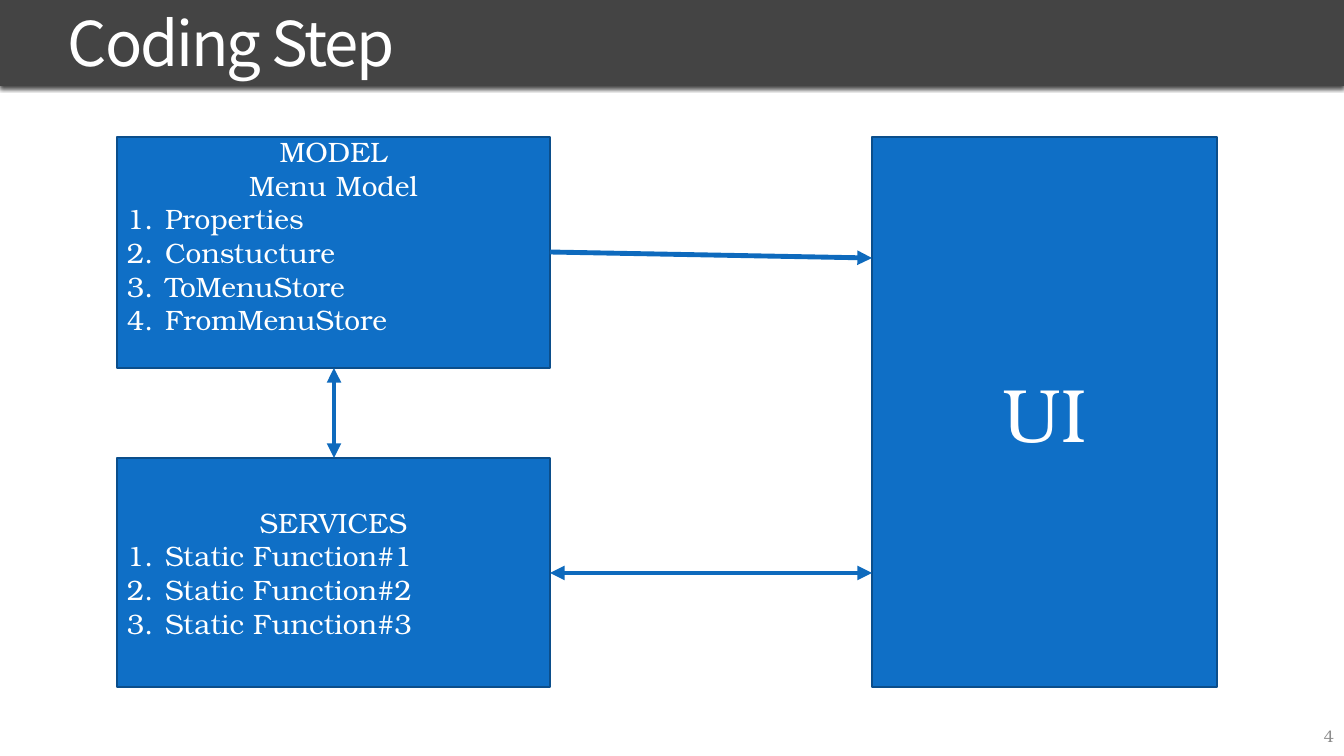
import pptx
import pptx.util
import pptx.dml.color
import pptx.enum.shapes
import pptx.enum.text
import pptx.oxml
import pptx.oxml.ns

TITLE = "Coding Step"
NUMBER = "4"

# name: (place in px, centred lines, numbered lines, size key, room kept below)
BOXES = {
    "model": ((117, 137, 433, 231), ["MODEL", "Menu Model"],
              ["Properties", "Constucture", "ToMenuStore", "FromMenuStore"],
              "body", 34),
    "services": ((117, 458, 433, 229), ["SERVICES"],
                 ["Static Function#1", "Static Function#2",
                  "Static Function#3"], "body", 0),
    "ui": ((872, 137, 345, 550), ["UI"], [], "big", 0),
}
# start, end, arrow at both ends
ARROWS = [
    ((550, 573), (872, 573), True),
    ((550, 252), (872, 258), False),
    ((334, 368), (334, 458), True),
]
THEME = {
    "bar": "444444", "fill": "0F6FC6", "edge": "0B4E8B", "arrow": "0E6ABD",
    "text": "FFFFFF", "faint": "8C8C8C",
    "head": "Noto Sans CJK JP", "serif": "TeX Gyre Bonum",
    "title": 44, "body": 20, "big": 54, "small": 12,
    "edge_w": 1.25, "arrow_w": 3.5,
}
SCALE = 914400 / 100.8
ALIGN = pptx.enum.text.PP_ALIGN
RECT = pptx.enum.shapes.MSO_SHAPE.RECTANGLE


def px(*nums):
    return [round(n * SCALE) for n in nums]


def color(key):
    return pptx.dml.color.RGBColor.from_string(THEME[key])


def add_xml(node, text):
    ns = pptx.oxml.ns.nsdecls("a")
    head, rest = text.split(" ", 1)
    node.append(pptx.oxml.parse_xml(f"{head} {ns} {rest}"))


def style(para, size, face, tint, align):
    para.alignment = align
    for run in para.runs:
        run.font.size = pptx.util.Pt(THEME[size])
        run.font.name = THEME[face]
        run.font.color.rgb = color(tint)


def frame(shape, pad=(0, 0, 0, 0)):
    """Wrap and centre the text vertically, with pad left, top, right, bottom."""
    text = shape.text_frame
    text.word_wrap = True
    text.vertical_anchor = pptx.enum.text.MSO_ANCHOR.MIDDLE
    (text.margin_left, text.margin_top,
     text.margin_right, text.margin_bottom) = px(*pad)
    return text


def add_rect(shapes, place, fill):
    rect = shapes.add_shape(RECT, *px(*place))
    rect.shadow.inherit = False
    rect.fill.solid()
    rect.fill.fore_color.rgb = color(fill)
    return rect


def add_label(shapes, place, words, size, face, tint, align, pad):
    text = frame(shapes.add_textbox(*px(*place)), pad)
    text.text = words
    style(text.paragraphs[0], size, face, tint, align)
    return text.paragraphs[0]


def add_head(shapes):
    bar = add_rect(shapes, (0, 0, 1344, 86), "bar")
    bar.line.fill.background()
    glow = bar._element.spPr.find(pptx.oxml.ns.qn("a:effectLst"))
    add_xml(glow, '<a:outerShdw blurRad="38100" dist="25400" dir="5400000">'
                  '<a:srgbClr val="000000"><a:alpha val="75000"/></a:srgbClr>'
                  '</a:outerShdw>')
    para = add_label(shapes, (68, 20, 1210, 55), TITLE, "title", "head",
                     "text", ALIGN.LEFT, (0, 0, 0, 0))
    para.line_spacing = 0.85
    para.runs[0].font._element.set("spc", "-150")


def add_box(shapes, place, heads, items, size, room):
    box = add_rect(shapes, place, "fill")
    box.line.color.rgb = color("edge")
    box.line.width = pptx.util.Pt(THEME["edge_w"])
    text = frame(box, (10, 0, 10, room))
    text.text = "\n".join(heads + items)
    for i, para in enumerate(text.paragraphs):
        listed = i >= len(heads)
        style(para, size, "serif", "text",
              ALIGN.LEFT if listed else ALIGN.CENTER)
        if listed:
            props = para._p.get_or_add_pPr()
            dent = px(38)[0]
            props.set("marL", str(dent))
            props.set("indent", str(-dent))
            add_xml(props, '<a:buFont typeface="+mj-lt"/>')
            add_xml(props, '<a:buAutoNum type="arabicPeriod"/>')


def add_arrow(shapes, start, end, both):
    kind = pptx.enum.shapes.MSO_CONNECTOR.STRAIGHT
    link = shapes.add_connector(kind, *px(*start, *end))
    link.line.color.rgb = color("arrow")
    link.line.width = pptx.util.Pt(THEME["arrow_w"])
    line = link.line._get_or_add_ln()
    for tag in ["headEnd", "tailEnd"] if both else ["tailEnd"]:
        add_xml(line, f'<a:{tag} type="triangle"/>')
    add_xml(link._element.spPr, "<a:effectLst />")


def main():
    deck = pptx.Presentation()
    deck.slide_width, deck.slide_height = px(1344, 756)
    shapes = deck.slides.add_slide(deck.slide_layouts[6]).shapes
    add_head(shapes)
    add_label(shapes, (1243, 718, 101, 35), NUMBER, "small", "serif",
              "faint", ALIGN.RIGHT, (10, 5, 10, 5))
    for box in BOXES.values():
        add_box(shapes, *box)
    for arrow in ARROWS:
        add_arrow(shapes, *arrow)
    deck.save("out.pptx")


if __name__ == "__main__":
    main()
